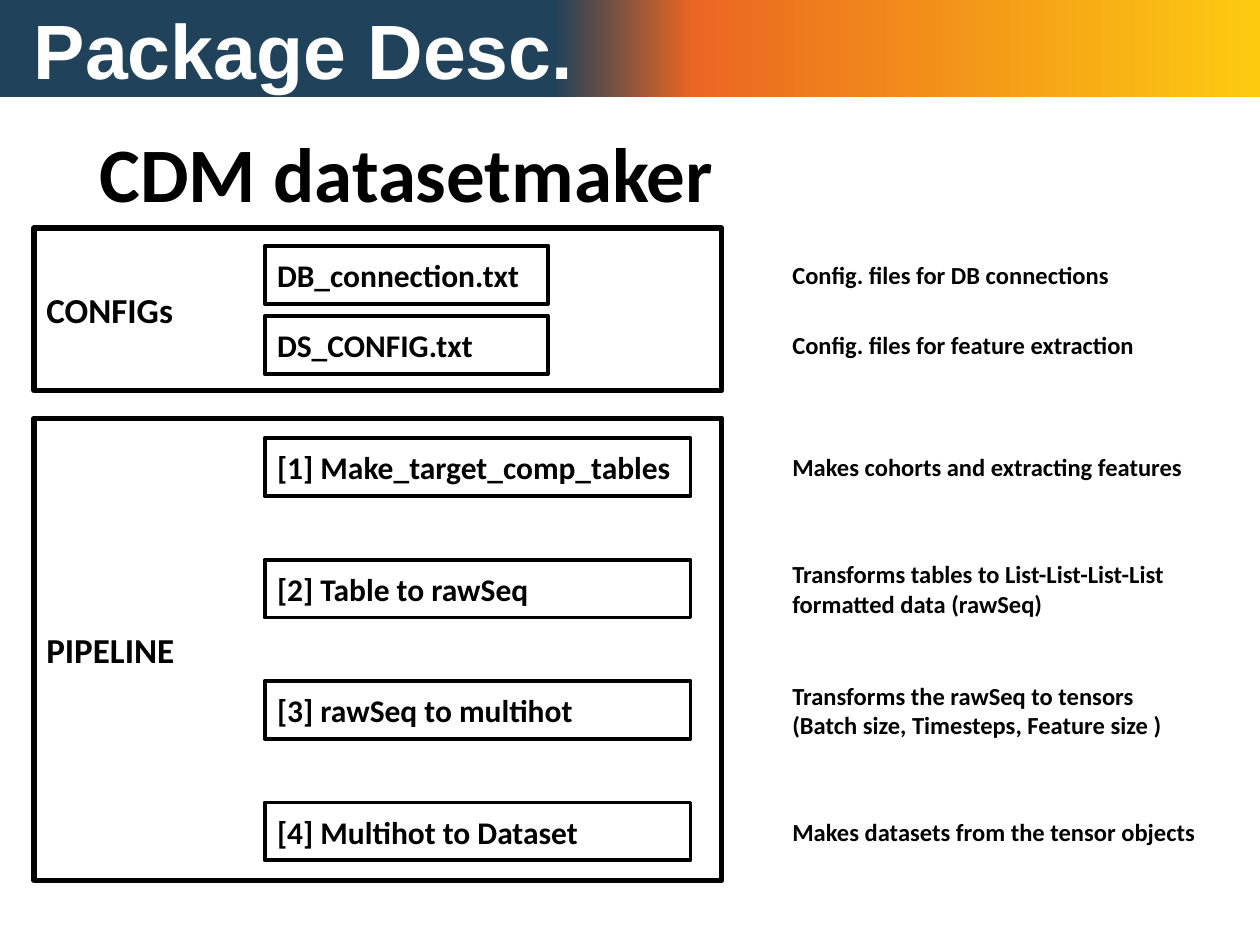
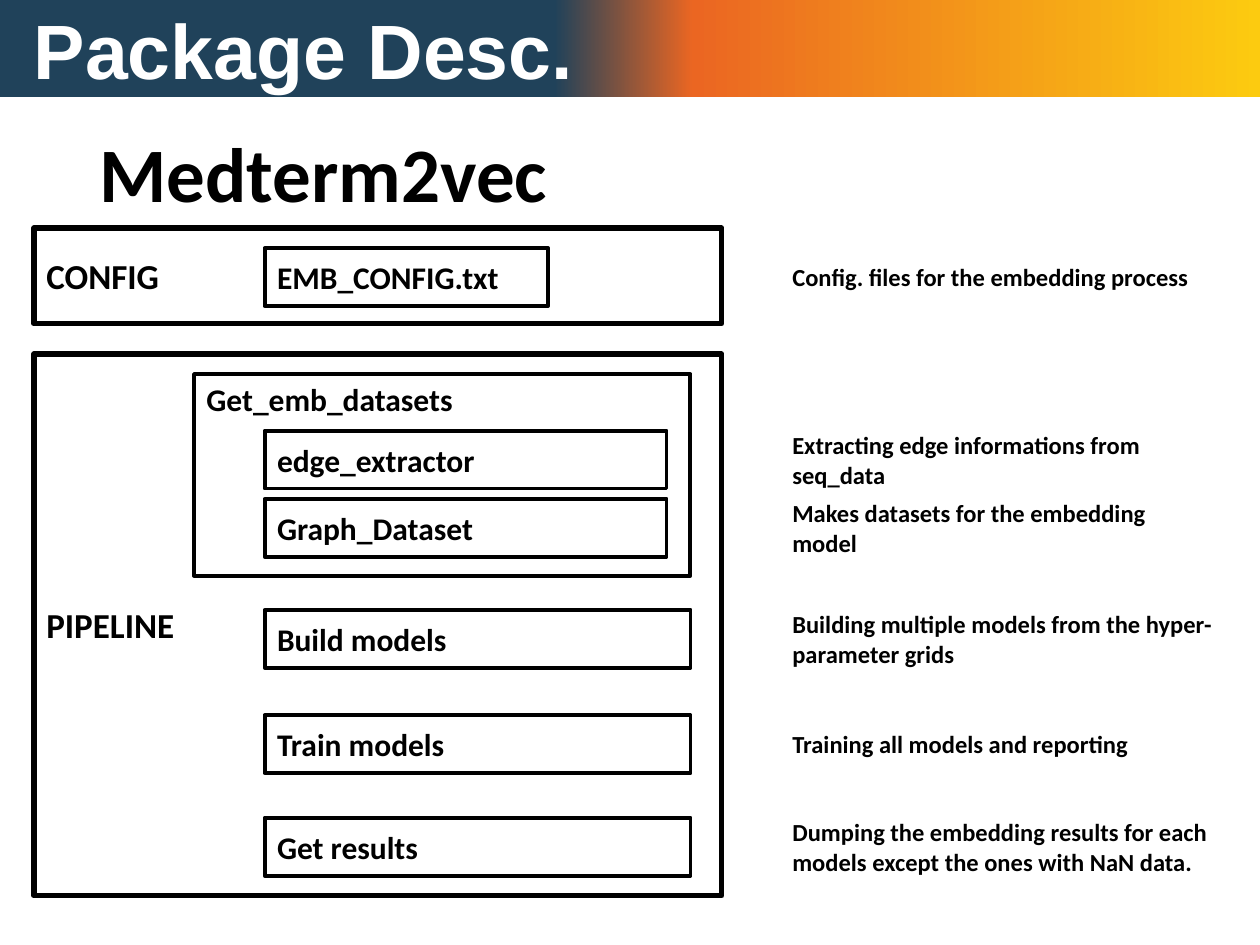
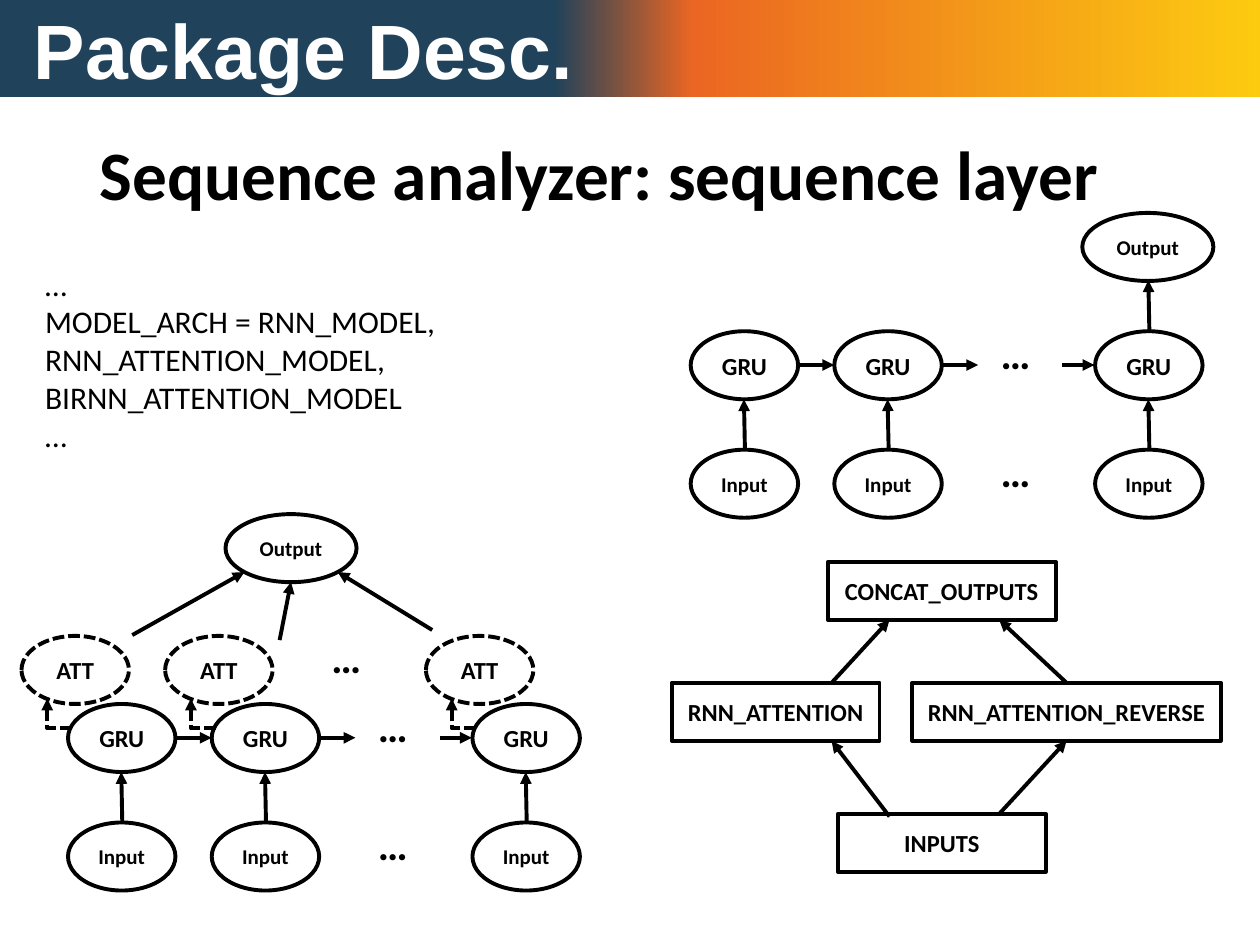
"""Build three package description slides with box layouts and network diagrams."""
from copy import deepcopy
from dataclasses import dataclass

from pptx import Presentation
from pptx.dml.color import RGBColor
from pptx.enum.dml import MSO_LINE
from pptx.enum.shapes import MSO_CONNECTOR, MSO_SHAPE
from pptx.enum.text import MSO_ANCHOR, MSO_AUTO_SIZE, PP_ALIGN
from pptx.oxml.ns import qn
from pptx.util import Pt
from lxml import etree

RECTANGLE, ELLIPSE = MSO_SHAPE.RECTANGLE, MSO_SHAPE.OVAL
STRAIGHT, ELBOW = MSO_CONNECTOR.STRAIGHT, MSO_CONNECTOR.ELBOW
LEFT, CENTER = PP_ALIGN.LEFT, PP_ALIGN.CENTER
TOP, MIDDLE = MSO_ANCHOR.TOP, MSO_ANCHOR.MIDDLE
NO_FIT, GROW = MSO_AUTO_SIZE.NONE, MSO_AUTO_SIZE.SHAPE_TO_FIT_TEXT
DASHED = MSO_LINE.SQUARE_DOT
TITLE_ONLY = 5
SITE_TOP, SITE_BOTTOM = 0, 2

BOX_LEFT, BOX_HEIGHT = 151.2, 33.1
FILE_WIDTH, PART_WIDTH, STEP_WIDTH = 162, 229.7, 243.4
FRAME_LEFT, FRAME_WIDTH = 19.4, 393.1
NOTE_LEFT, NOTE_WIDTH = 445.7, 256.3
NODE_WIDTH, NODE_HEIGHT, OUTPUT_WIDTH = 61.4, 38.9, 74.9
NODE_COLUMNS = (0, 82.1, 231.1)
INPUT_DROP = 67.7


@dataclass(frozen=True)
class Theme:
    ink: RGBColor = RGBColor(0, 0, 0)
    white: RGBColor = RGBColor(255, 255, 255)
    band_stops: tuple = ((0, "20425A"), (0.44, "20425A"), (0.55, "EB6622"), (1, "FCCB10"))
    body_font: str = "Calibri"
    band_font: str = "Arial"
    title: float = 44
    long_title: float = 39.6
    dots: float = 24
    frame: float = 20
    box: float = 18
    node: float = 14
    small: float = 12
    thick: float = 3
    line: float = 2.25


class Deck:
    def __init__(self, theme):
        self.theme = theme
        self.presentation = Presentation()
        self.presentation.slide_width = Pt(720)
        self.presentation.slide_height = Pt(540)
        self.page = None

    def fill_text(self, shape, text, size, align=LEFT, anchor=MIDDLE, bold=True,
                  color=None, font=None, wrap=True):
        frame = shape.text_frame
        frame.text = text
        frame.word_wrap = wrap
        frame.vertical_anchor = anchor
        for paragraph in frame.paragraphs:
            paragraph.alignment = align
            for span in paragraph.runs:
                span.font.name = font or self.theme.body_font
                span.font.size = Pt(size)
                span.font.bold = bold
                span.font.color.rgb = color or self.theme.ink
        return frame

    def new_page(self, title, size):
        layout = self.presentation.slide_layouts[TITLE_ONLY]
        self.page = self.presentation.slides.add_slide(layout)
        self.band("Package Desc.")
        box = self.page.shapes.title
        box.left, box.top, box.width, box.height = Pt(49.7), Pt(69.8), Pt(620.6), Pt(63.4)
        frame = self.fill_text(box, title, size)
        frame.auto_size = NO_FIT
        frame.paragraphs[0].line_spacing = 0.9

    def band(self, text):
        band = self.page.shapes.add_shape(RECTANGLE, 0, 0, Pt(720), Pt(55.4))
        band.shadow.inherit = False
        band.line.fill.background()
        band.fill.gradient()
        band.fill.gradient_angle = 0
        stop_list = band._element.spPr.find(".//" + qn("a:gsLst"))
        while len(stop_list) < len(self.theme.band_stops):
            stop_list.append(deepcopy(stop_list[-1]))
        for stop, (position, color) in zip(band.fill.gradient_stops, self.theme.band_stops):
            stop.position = position
            stop.color.rgb = RGBColor.from_string(color)
        frame = self.fill_text(band, text, self.theme.title, color=self.theme.white,
                               font=self.theme.band_font)
        frame.margin_left = Pt(19.4)

    def outline(self, kind, left, top, width, height, text, size,
                align=LEFT, anchor=MIDDLE, weight=None, dash=None):
        shape = self.page.shapes.add_shape(kind, Pt(left), Pt(top), Pt(width), Pt(height))
        shape.shadow.inherit = False
        shape.fill.background()
        shape.line.color.rgb = self.theme.ink
        shape.line.width = Pt(weight or self.theme.line)
        if dash:
            shape.line.dash_style = dash
        self.fill_text(shape, text, size, align, anchor)
        return shape

    def frame(self, top, height, text):
        self.outline(RECTANGLE, FRAME_LEFT, top, FRAME_WIDTH, height, text,
                     self.theme.frame, weight=self.theme.thick)

    def row(self, top, width, label, note):
        self.outline(RECTANGLE, BOX_LEFT, top, width, BOX_HEIGHT, label, self.theme.box)
        self.text(NOTE_LEFT, top, NOTE_WIDTH, BOX_HEIGHT, note, self.theme.node)

    def text(self, left, top, width, height, text, size, **style):
        box = self.page.shapes.add_textbox(Pt(left), Pt(top), Pt(width), Pt(height))
        return self.fill_text(box, text, size, **style)

    def dots(self, left, top):
        frame = self.text(left, top, 31.7, 36, "…", self.theme.dots, anchor=TOP, wrap=False)
        frame.auto_size = GROW

    def block(self, left, top, width, text):
        return self.outline(RECTANGLE, left, top, width, BOX_HEIGHT, text,
                            self.theme.node, CENTER)

    def node(self, left, top, text, size, width=NODE_WIDTH, dash=None):
        self.outline(ELLIPSE, left, top, width, NODE_HEIGHT, text, size, CENTER, dash=dash)

    def node_row(self, left, top, text, size, dash=None):
        for column in NODE_COLUMNS:
            self.node(left + column, top, text, size, dash=dash)
        self.dots(left + 170, top - 5.8)

    def arrow(self, x1, y1, x2, y2, kind=STRAIGHT, dash=None):
        arrow = self.page.shapes.add_connector(kind, Pt(x1), Pt(y1), Pt(x2), Pt(y2))
        arrow.line.color.rgb = self.theme.ink
        arrow.line.width = Pt(self.theme.line)
        if dash:
            arrow.line.dash_style = dash
        properties = arrow._element.spPr
        etree.SubElement(properties.find(qn("a:ln")), qn("a:tailEnd"), type="triangle")
        etree.SubElement(properties, qn("a:effectLst"))
        return arrow

    def turned_arrow(self, left, top, width, height):
        arrow = self.arrow(left, top + height, left + width, top, ELBOW, DASHED)
        properties = arrow._element.spPr
        properties.find(qn("a:xfrm")).set("rot", "16200000")
        guides = properties.find(qn("a:prstGeom")).find(qn("a:avLst"))
        etree.SubElement(guides, qn("a:gd"), name="adj1", fmla="val 5300")

    def gru_chain(self, left, top):
        self.node_row(left, top, "GRU", self.theme.node)
        self.node_row(left, top + INPUT_DROP, "Input", self.theme.small)
        for column in NODE_COLUMNS:
            x = left + column + 30.7
            self.arrow(x + 0.3, top + INPUT_DROP, x - 0.3, top + NODE_HEIGHT)
        for start, end in ((61.7, 82), (142.6, 164.2), (212.4, 230.7)):
            self.arrow(left + start, top + 19.3, left + end, top + 19.3)


def dataset_page(deck):
    deck.new_page("CDM datasetmaker", deck.theme.title)
    deck.frame(130.3, 92.9, "CONFIGs")
    deck.frame(239, 264.2, "PIPELINE")
    deck.row(140.4, FILE_WIDTH, "DB_connection.txt", "Config. files for DB connections")
    deck.row(180.7, FILE_WIDTH, "DS_CONFIG.txt", "Config. files for feature extraction")
    steps = (
        ("[1] Make_target_comp_tables", "Makes cohorts and extracting features"),
        ("[2] Table to rawSeq",
         "Transforms tables to List-List-List-List formatted data (rawSeq)"),
        ("[3] rawSeq to multihot",
         "Transforms the rawSeq to tensors\n(Batch size, Timesteps, Feature size )"),
        ("[4] Multihot to Dataset", "Makes datasets from the tensor objects"),
    )
    for index, (label, note) in enumerate(steps):
        deck.row(250.4 + 69.4 * index, STEP_WIDTH, label, note)


def embedding_page(deck):
    deck.new_page("Medterm2vec", deck.theme.title)
    deck.frame(130.3, 54.7, "CONFIG")
    deck.frame(202.3, 309.6, "PIPELINE")
    deck.outline(RECTANGLE, 110.9, 213.8, 283.7, 115.2, "Get_emb_datasets",
                 deck.theme.box, anchor=TOP)
    rows = (
        (141.8, FILE_WIDTH, "EMB_CONFIG.txt", "Config. files for the embedding process"),
        (246.1, PART_WIDTH, "edge_extractor", "Extracting edge informations from seq_data"),
        (285.1, PART_WIDTH, "Graph_Dataset", "Makes datasets for the embedding model"),
        (348.5, STEP_WIDTH, "Build models",
         "Building multiple models from the hyper-parameter grids"),
        (408.7, STEP_WIDTH, "Train models", "Training all models and reporting"),
        (467.3, STEP_WIDTH, "Get results",
         "Dumping the embedding results for each models except the ones with NaN data."),
    )
    for row in rows:
        deck.row(*row)


def sequence_page(deck):
    theme = deck.theme
    deck.new_page("Sequence analyzer: sequence layer", theme.long_title)
    code = ("…\vMODEL_ARCH = RNN_MODEL, RNN_ATTENTION_MODEL, "
            "BIRNN_ATTENTION_MODEL\n…")
    deck.text(18.7, 147.6, 360, 116.6, code, theme.box, anchor=TOP, bold=False)

    deck.gru_chain(394.7, 189.3)
    deck.node(618.5, 121.7, "Output", theme.small, OUTPUT_WIDTH)
    deck.arrow(656.8, 189.3, 656.2, 160.2)

    left, top = 38.9, 402.3
    deck.gru_chain(left, top)
    deck.node_row(left - 26.6, top - NODE_HEIGHT, "ATT", theme.node, DASHED)
    for column in NODE_COLUMNS:
        deck.turned_arrow(left + column - 14.4, top - 0.6, 18, 13)
    deck.node(128.9, 293.8, "Output", theme.small, OUTPUT_WIDTH)
    for ends in ((75.6, 362.9, 139.7, 326.9), (159.8, 365.8, 166.3, 332.6),
                 (247, 360, 193, 326.9)):
        deck.arrow(*ends)

    deck.block(383.8, 390.2, 118.8, "RNN_ATTENTION")
    reverse = deck.block(521.3, 390.2, 176.4, "RNN_ATTENTION_REVERSE")
    deck.block(478.8, 465.1, 118.8, "INPUTS")
    deck.block(473, 321.1, 130.3, "CONCAT_OUTPUTS")
    deck.arrow(508.3, 466.6, 475.2, 423.4)
    deck.arrow(475.2, 390.2, 508.3, 354.2)
    deck.arrow(609.5, 390.2, 571, 354.2).begin_connect(reverse, SITE_TOP)
    deck.arrow(571, 465.1, 609.5, 423.3).end_connect(reverse, SITE_BOTTOM)


def main():
    deck = Deck(Theme())
    dataset_page(deck)
    embedding_page(deck)
    sequence_page(deck)
    deck.presentation.save("out.pptx")


if __name__ == "__main__":
    main()
